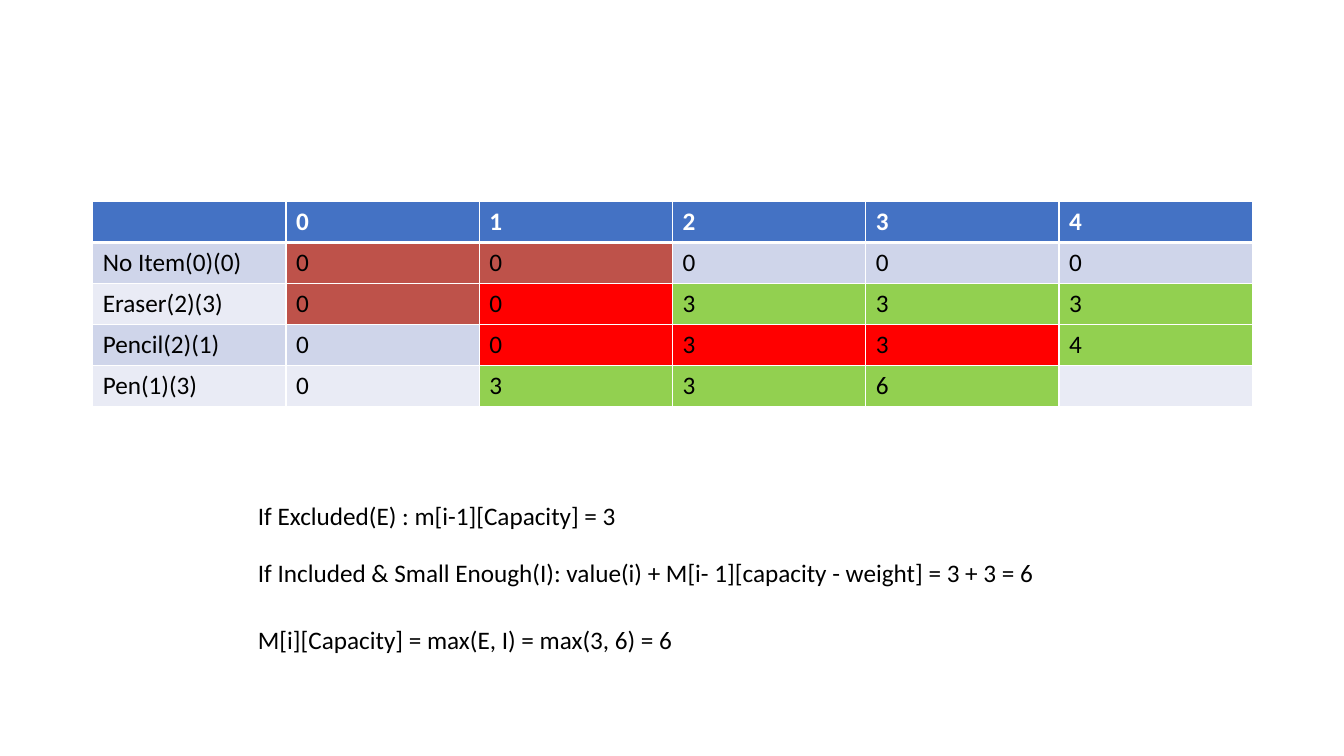
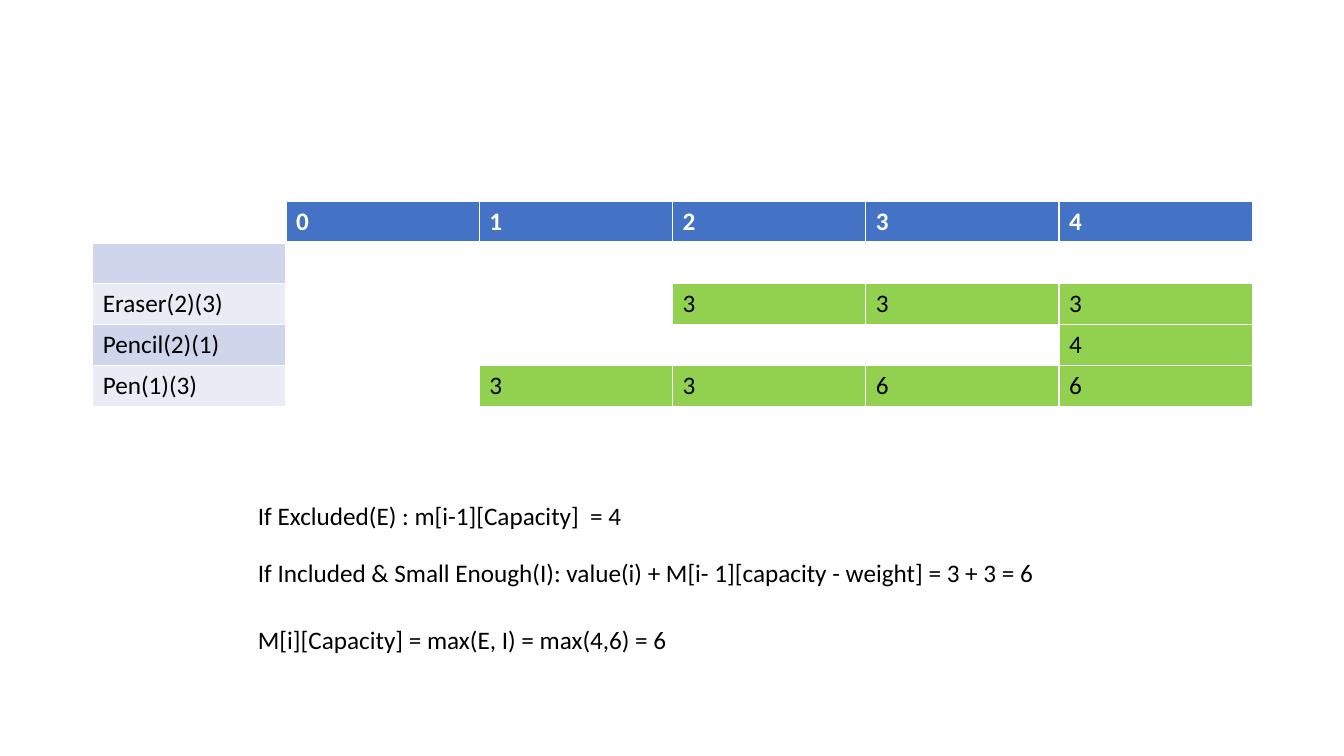
from lxml import etree
from pptx import Presentation
from pptx.dml.color import RGBColor
from pptx.enum import text
from pptx.oxml import ns
from pptx.util import Inches, Pt

BLACK = RGBColor(0x00, 0x00, 0x00)
WHITE = RGBColor(0xFF, 0xFF, 0xFF)
BLUE = RGBColor(0x44, 0x72, 0xC4)
DARK = RGBColor(0xCF, 0xD5, 0xEA)
LIGHT = RGBColor(0xE9, 0xEB, 0xF5)
BRICK = RGBColor(0xBE, 0x52, 0x4A)
RED = RGBColor(0xFF, 0x00, 0x00)
GREEN = RGBColor(0x92, 0xD0, 0x50)
FILLS = {"H": BLUE, "D": DARK, "L": LIGHT, "B": BRICK, "R": RED, "G": GREEN}
FONT = "Calibri"
SIZE = Pt(18)
HEAD = ["", "0", "1", "2", "3", "4"]
INCLUDE = "If Included & Small Enough(I): value(i) + M[i- 1][capacity - weight] = 3 + 3 = 6"
NOTES = [(4.91, 7.58), (5.48, 8.58), (6.14, 6.78)]

STEPS = [
    (
        [
            (HEAD, "HHHHHH"),
            (["No Item(0)(0)", "0", "0", "0", "0", "0"], "DBBDDD"),
            (["Eraser(2)(3)", "0", "0", "3", "3", "3"], "LBRGGG"),
            (["Pencil(2)(1)", "0", "0", "3", "3", "4"], "DDRRRG"),
            (["Pen(1)(3)", "0", "3", "3", "6", ""], "LLGGGL"),
        ],
        [
            "If Excluded(E) : m[i-1][Capacity] = 3",
            INCLUDE,
            "M[i][Capacity] = max(E, I) = max(3, 6) = 6",
        ],
    ),
    (
        [
            (HEAD, "-HHHHH"),
            (["", "", "", "", "", ""], "D-----"),
            (["Eraser(2)(3)", "", "", "3", "3", "3"], "L--GGG"),
            (["Pencil(2)(1)", "", "", "", "", "4"], "D----G"),
            (["Pen(1)(3)", "", "3", "3", "6", "6"], "L-GGGG"),
        ],
        [
            "If Excluded(E) : m[i-1][Capacity]  = 4",
            INCLUDE,
            "M[i][Capacity] = max(E, I) = max(4,6) = 6",
        ],
    ),
]


def write(frame, words, color=BLACK, bold=False):
    run = frame.paragraphs[0].add_run()
    run.text = words
    run.font.name = FONT
    run.font.size = SIZE
    run.font.bold = bold
    run.font.color.rgb = color


def border(cell, row):
    props = cell._tc.get_or_add_tcPr()
    widths = {"lnL": 1, "lnR": 1, "lnT": 3 if row == 1 else 1, "lnB": 3 if row == 0 else 1}
    for side, width in widths.items():
        line = etree.SubElement(props, ns.qn("a:" + side), w=str(Pt(width)))
        fill = etree.SubElement(line, ns.qn("a:solidFill"))
        etree.SubElement(fill, ns.qn("a:srgbClr"), val=str(WHITE))


deck = Presentation()
deck.slide_width = Inches(13.33)
deck.slide_height = Inches(7.5)
blank = deck.slide_layouts[6]

for rows, notes in STEPS:
    slide = deck.slides.add_slide(blank)
    frame = slide.shapes.add_table(
        len(rows), len(HEAD), Inches(0.92), Inches(2), Inches(11.5), Inches(2.03)
    )
    grid = frame.table
    for r, (words, codes) in enumerate(rows):
        for c, (word, code) in enumerate(zip(words, codes)):
            cell = grid.cell(r, c)
            border(cell, r)
            if code in FILLS:
                cell.fill.solid()
                cell.fill.fore_color.rgb = FILLS[code]
            else:
                cell.fill.background()
            if word:
                write(cell.text_frame, word, BLACK if r else WHITE, r == 0)

    for (top, width), note in zip(NOTES, notes):
        box = slide.shapes.add_textbox(Inches(2.46), Inches(top), Inches(width), Inches(0.4))
        box.text_frame.word_wrap = True
        box.text_frame.auto_size = text.MSO_AUTO_SIZE.SHAPE_TO_FIT_TEXT
        write(box.text_frame, note)

deck.save("out.pptx")
